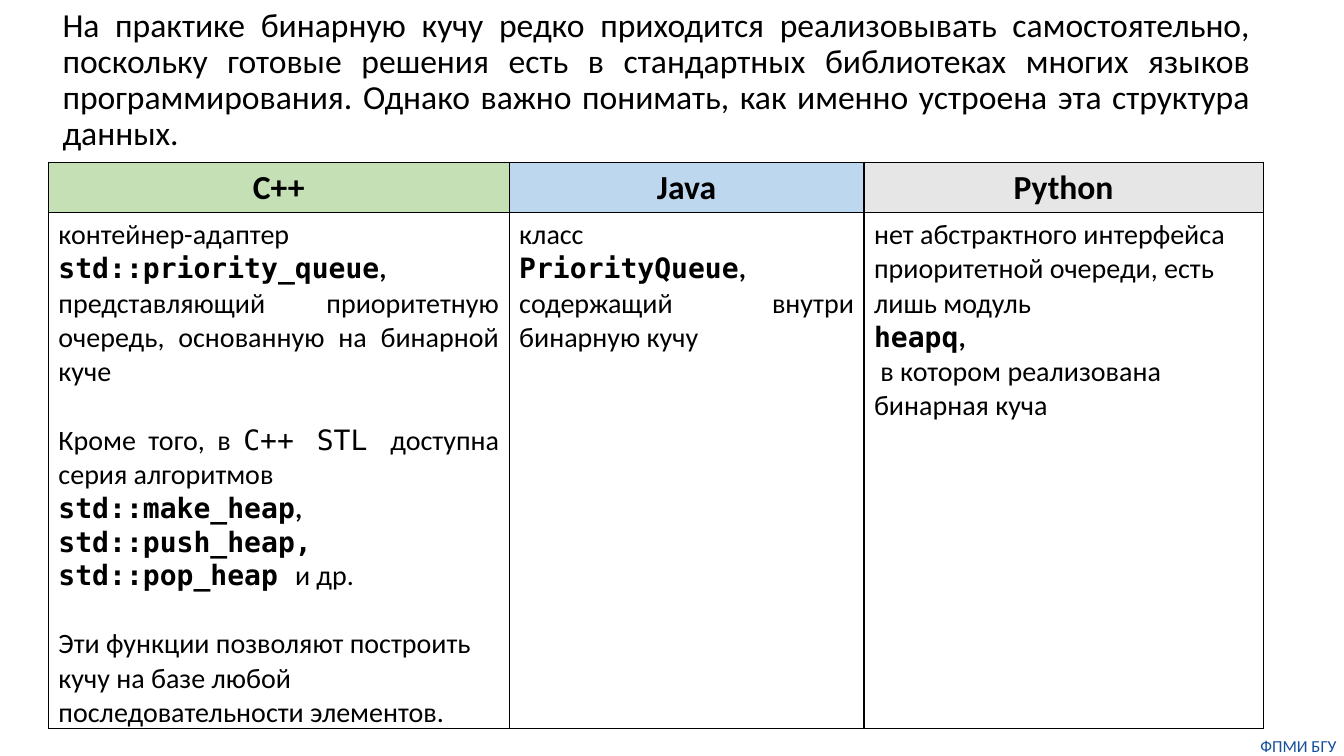
"""Build a slide comparing ready-made binary heaps in C++, Java and Python."""
from dataclasses import dataclass

from lxml import etree
from pptx import Presentation
from pptx import util as u
from pptx.dml import color
from pptx.enum import text
from pptx.oxml import ns

SANS = "Calibri"
MONO = "DejaVu Sans Mono"
BLACK = "000000"
LEFT = text.PP_ALIGN.LEFT
CENTER = text.PP_ALIGN.CENTER
JUSTIFY = text.PP_ALIGN.JUSTIFY


@dataclass(frozen=True)
class Run:
    content: str
    name: str = SANS
    bold: bool = False


@dataclass(frozen=True)
class Block:
    runs: tuple[Run, ...]
    align: text.PP_ALIGN = LEFT
    before: float = 0


@dataclass(frozen=True)
class Language:
    name: str
    tint: str
    width: float
    blocks: tuple[Block, ...]


def code(content: str) -> Run:
    return Run(content, MONO, True)


COMMA = Run(", ", bold=True)
BLANK_LINE = 24.4

LANGUAGES = (
    Language("C++", "C5E0B4", 4.57, (
        Block((Run("контейнер-адаптер "), code("std::priority_queue"), COMMA,
               Run("представляющий приоритетную очередь, основанную на бинарной куче")), JUSTIFY),
        Block((Run("Кроме того, в "), Run("C++ STL ", MONO),
               Run("доступна серия алгоритмов")), JUSTIFY, BLANK_LINE),
        Block((code("std::make_heap"), COMMA, code("std::push_heap, std::pop_heap "),
               Run("и др.")), JUSTIFY),
        Block((Run("Эти функции позволяют построить кучу на базе любой "
                   "последовательности элементов."),), LEFT, BLANK_LINE),
    )),
    Language("Java", "BDD7EE", 3.52, (
        Block((Run("класс"),), JUSTIFY),
        Block((code("PriorityQueue"), COMMA, Run("содержащий внутри бинарную кучу")), JUSTIFY),
    )),
    Language("Python", "E7E6E6", 3.96, (
        Block((Run("нет абстрактного интерфейса приоритетной очереди, есть лишь модуль"),)),
        Block((code("heapq"), Run(",", bold=True))),
        Block((Run(" в котором реализована бинарная куча"),)),
    )),
)


def rgb(value: str) -> color.RGBColor:
    return color.RGBColor.from_string(value)


def add_text(paragraph, content: str, *, size: float, name: str = SANS,
             bold: bool = False, tint: str = BLACK) -> None:
    run = paragraph.add_run()
    run.text = content
    run.font.size = u.Pt(size)
    run.font.name = name
    run.font.bold = bold
    run.font.color.rgb = rgb(tint)


def write_blocks(frame, blocks: tuple[Block, ...], size: float, tint: str = BLACK) -> None:
    for index, block in enumerate(blocks):
        paragraph = frame.add_paragraph() if index else frame.paragraphs[0]
        paragraph.alignment = block.align
        paragraph.space_before = u.Pt(block.before)
        for run in block.runs:
            add_text(paragraph, run.content, size=size, name=run.name, bold=run.bold, tint=tint)


def style_cell(cell, tint: str) -> None:
    properties = cell._tc.get_or_add_tcPr()
    for side in ("lnL", "lnR", "lnT", "lnB"):
        line = etree.SubElement(properties, ns.qn(f"a:{side}"), w=str(u.Pt(1)))
        fill = etree.SubElement(line, ns.qn("a:solidFill"))
        etree.SubElement(fill, ns.qn("a:srgbClr"), val=BLACK)
    cell.fill.solid()
    cell.fill.fore_color.rgb = rgb(tint)


def add_introduction(slide) -> None:
    title = slide.shapes.title
    title.left, title.top = u.Inches(0.52), u.Inches(0.16)
    title.width, title.height = u.Inches(11.98), u.Inches(1.28)
    frame = title.text_frame
    frame.word_wrap = True
    frame.auto_size = text.MSO_AUTO_SIZE.NONE
    frame.vertical_anchor = text.MSO_ANCHOR.MIDDLE
    introduction = Run(
        "На практике бинарную кучу редко приходится реализовывать самостоятельно, "
        "поскольку готовые решения есть в стандартных библиотеках многих языков "
        "программирования. Однако важно понимать, как именно устроена эта структура данных.")
    write_blocks(frame, (Block((introduction,), JUSTIFY),), 24)
    frame.paragraphs[0].line_spacing = 0.9


def add_language_table(slide) -> None:
    table = slide.shapes.add_table(
        2, len(LANGUAGES), u.Inches(0.48), u.Inches(1.61),
        u.Inches(sum(language.width for language in LANGUAGES)), u.Inches(5.6)).table
    table.horz_banding = False
    table.first_row = False
    table.rows[0].height, table.rows[1].height = u.Inches(0.5), u.Inches(5.1)
    for column, language in enumerate(LANGUAGES):
        table.columns[column].width = u.Inches(language.width)
        header, body = table.cell(0, column), table.cell(1, column)
        style_cell(header, language.tint)
        style_cell(body, "FFFFFF")
        heading = Block((Run(language.name, bold=True),), CENTER)
        write_blocks(header.text_frame, (heading,), 24)
        write_blocks(body.text_frame, language.blocks, 20)


def add_footer(slide) -> None:
    footer = slide.shapes.add_textbox(
        u.Inches(12.43), u.Inches(7.3), u.Inches(0.9), u.Inches(0.2))
    frame = footer.text_frame
    frame.word_wrap = True
    frame.margin_left = frame.margin_right = frame.margin_top = frame.margin_bottom = 0
    write_blocks(frame, (Block((Run("ФПМИ БГУ"),), CENTER),), 12, "144E9D")


def main() -> None:
    presentation = Presentation()
    presentation.slide_width, presentation.slide_height = u.Inches(13.33), u.Inches(7.5)
    slide = presentation.slides.add_slide(presentation.slide_layouts[5])
    add_footer(slide)
    add_introduction(slide)
    add_language_table(slide)
    presentation.save("out.pptx")


if __name__ == "__main__":
    main()
